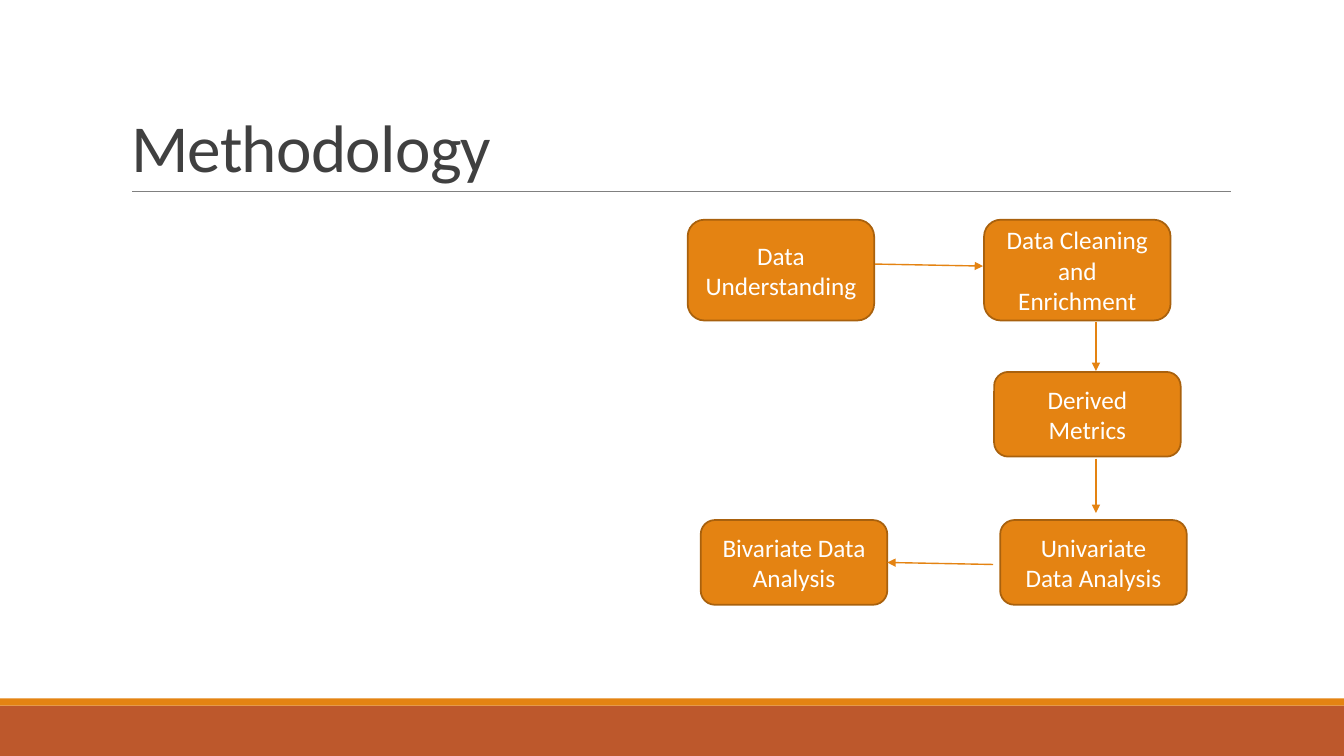
from lxml.etree import SubElement
from pptx import Presentation
from pptx.dml.color import RGBColor
from pptx.enum.shapes import MSO_CONNECTOR, MSO_SHAPE
from pptx.enum.text import MSO_ANCHOR, PP_ALIGN
from pptx.oxml.ns import qn
from pptx.util import Inches, Pt

HUES = {
    "band": "BD582C",
    "accent": "E48312",
    "edge": "A9610D",
    "rule": "808080",
    "title": "404040",
    "label": "FFFFFF",
}


def set_all(item, values):
    """Set each attribute named in values."""
    for name, value in values.items():
        setattr(item, name, value)


class Deck:
    """Hold the style and the current slide."""

    def __init__(self):
        """Open a wide slide with a title."""
        self.show = Presentation()
        set_all(self.show, {"slide_width": Inches(13.33), "slide_height": Inches(7.5)})
        self.slide = self.show.slides.add_slide(self.show.slide_layouts[5])

    def hue(self, name):
        """Return a named colour."""
        return RGBColor.from_string(HUES[name])

    def label(self, shape, text, size, hue, frame, para):
        """Put formatted text in a shape and return its run."""
        set_all(shape.text_frame, {"word_wrap": True, **frame})
        line = shape.text_frame.paragraphs[0]
        set_all(line, para)
        run = line.add_run()
        run.text = text
        set_all(run.font, {"size": Pt(size), "name": "Calibri"})
        run.font.color.rgb = self.hue(hue)
        return run

    def title(self, text, left, top, width, height):
        """Place and fill the title."""
        head = self.slide.shapes.title
        set_all(head, {"left": Inches(left), "top": Inches(top),
                       "width": Inches(width), "height": Inches(height)})
        run = self.label(head, text, 48, "title",
                         {"vertical_anchor": MSO_ANCHOR.BOTTOM},
                         {"alignment": PP_ALIGN.LEFT, "line_spacing": 0.85})
        run.font._element.set("spc", "-50")

    def block(self, kind, hue, left, top, width, height):
        """Draw a plain filled shape."""
        shape = self.slide.shapes.add_shape(
            kind, Inches(left), Inches(top), Inches(width), Inches(height))
        shape.shadow.inherit = False
        shape.fill.solid()
        shape.fill.fore_color.rgb = self.hue(hue)
        shape.line.fill.background()
        return shape

    def step(self, text, left, top, height):
        """Draw one labelled step."""
        box = self.block(MSO_SHAPE.ROUNDED_RECTANGLE, "accent", left, top, 1.85, height)
        box.line.color.rgb = self.hue("edge")
        box.line.width = Pt(1.25)
        self.label(box, text, 18, "label",
                   {"vertical_anchor": MSO_ANCHOR.MIDDLE},
                   {"alignment": PP_ALIGN.CENTER})
        return box

    def line(self, start, end, hue, width):
        """Draw a straight line."""
        link = self.slide.shapes.add_connector(
            MSO_CONNECTOR.STRAIGHT, *map(Inches, start + end))
        link.line.color.rgb = self.hue(hue)
        link.line.width = Pt(width)
        SubElement(link._element.spPr, qn("a:effectLst"))
        return link

    def arrow(self, start, end):
        """Draw a line with a head at its end."""
        link = self.line(start, end, "accent", 1)
        edge = link._element.spPr.find(qn("a:ln"))
        SubElement(edge, qn("a:tailEnd"), type="triangle")
        return link


def main():
    """Build the slide and save it."""
    deck = Deck()
    deck.block(MSO_SHAPE.RECTANGLE, "band", 0, 7, 13.33, 0.5)
    deck.block(MSO_SHAPE.RECTANGLE, "accent", 0, 6.93, 13.33, 0.07)
    deck.line((1.31, 1.9), (12.21, 1.9), "rule", 0.5)
    deck.title("Methodology", 1.2, 0.31, 11, 1.59)

    steps = [
        ("Data Understanding", 6.82, 2.18, 1),
        ("Data Cleaning and Enrichment", 9.76, 2.18, 1),
        ("Derived Metrics", 9.86, 3.69, 0.84),
        ("Univariate Data Analysis", 9.92, 5.16, 0.84),
        ("Bivariate Data Analysis", 6.95, 5.16, 0.84),
    ]
    boxes = [deck.step(*step) for step in steps]

    paths = [
        ((8.68, 2.62), (9.75, 2.64)),
        ((10.87, 3.19), (10.87, 3.68)),
        ((10.87, 4.55), (10.87, 5.09)),
        ((9.85, 5.6), (8.82, 5.58)),
    ]
    links = [deck.arrow(*ends) for ends in paths]
    links[-1].end_connect(boxes[-1], 3)
    deck.show.save("out.pptx")


if __name__ == "__main__":
    main()
